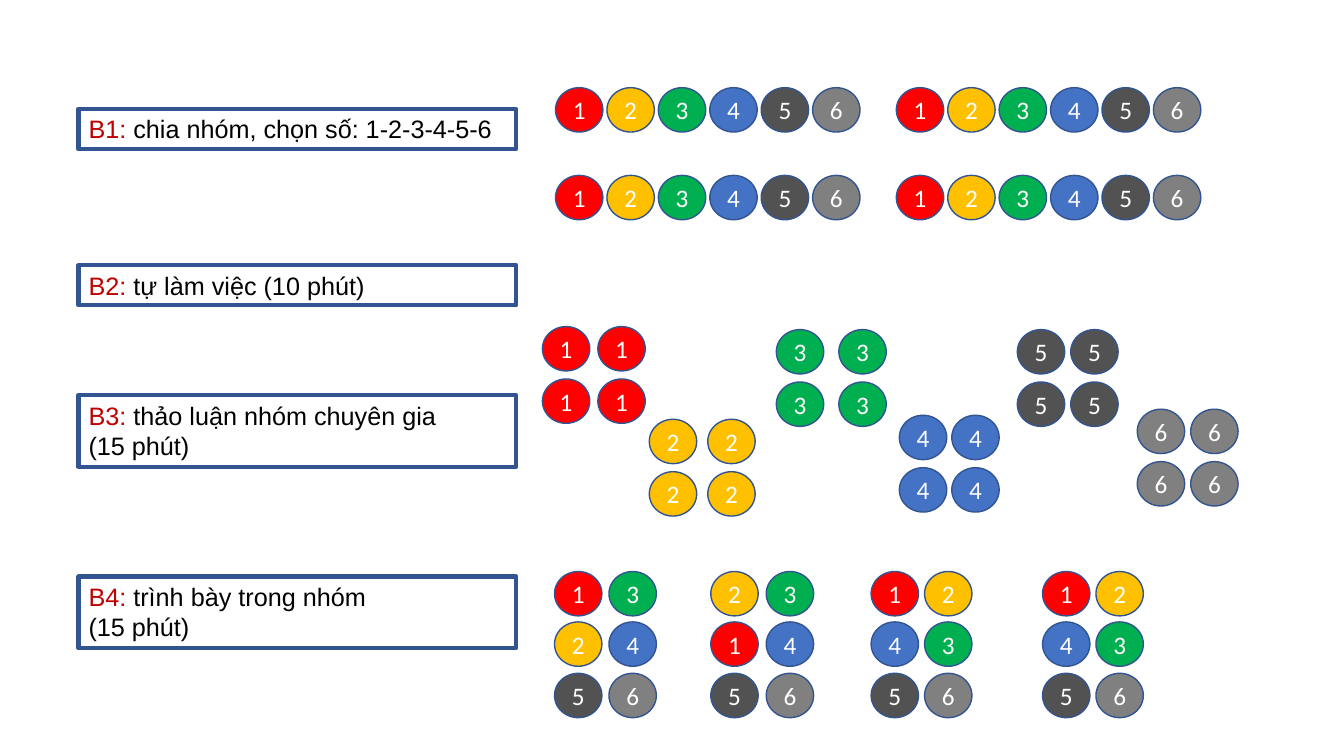
from pptx import Presentation
from pptx.dml.color import RGBColor
from pptx.enum.shapes import MSO_SHAPE
from pptx.enum.text import MSO_ANCHOR, MSO_AUTO_SIZE, PP_ALIGN
from pptx.util import Pt

OVAL = MSO_SHAPE.OVAL
MIDDLE = MSO_ANCHOR.MIDDLE
CENTER = PP_ALIGN.CENTER
GROW = MSO_AUTO_SIZE.SHAPE_TO_FIT_TEXT

PX = 9144  # EMU; 100 px to the inch
BALL_W, BALL_H = 47, 44
COLORS = {
    "line": "325491", "step": "C00000", "text": "000000", "white": "FFFFFF",
    1: "FF0000", 2: "FFC000", 3: "00B050", 4: "4472C4", 5: "525252", 6: "808080",
}

# top, height, label, lines
STEPS = [
    (108, 40, "B1:", [" chia nhóm, chọn số: 1-2-3-4-5-6"]),
    (263, 40, "B2: ", ["tự làm việc (10 phút)"]),
    (392, 71, "B3: ", ["thảo luận nhóm chuyên gia", "(15 phút)"]),
    (572, 71, "B4: ", ["trình bày trong nhóm", "(15 phút)"]),
]
# number, left, top, column pitch
EXPERT_GROUPS = [
    (1, 538, 324, 55), (2, 644, 416, 58), (3, 770, 327, 62),
    (4, 892, 412, 52), (5, 1009, 327, 53), (6, 1128, 406, 53),
]
# left, column pitch, rows of numbers
HOME_GROUPS = [
    (550, 54, [(1, 3), (2, 4), (5, 6)]),
    (705, 55, [(2, 3), (1, 4), (5, 6)]),
    (864, 53, [(1, 2), (4, 3), (5, 6)]),
    (1034, 53, [(1, 2), (4, 3), (5, 6)]),
]


def rgb(name):
    return RGBColor.from_string(COLORS[name])


def style_run(r, font, color):
    r.font.size = Pt(18)
    r.font.name = font
    r.font.color.rgb = rgb(color)


def add_step(slide, left, top, width, height, label, lines):
    sp = slide.shapes.add_textbox(left * PX, top * PX, width * PX, height * PX)
    sp.line.color.rgb = rgb("line")
    sp.line.width = Pt(3)
    tf = sp.text_frame
    tf.word_wrap = True
    tf.auto_size = GROW
    p = tf.paragraphs[0]
    r = p.add_run()
    r.text = label
    style_run(r, "Arial", "step")
    for i, line in enumerate(lines):
        if i:
            p = tf.add_paragraph()
        r = p.add_run()
        r.text = line
        style_run(r, "Arial", "text")


def add_ball(slide, left, top, number):
    sp = slide.shapes.add_shape(OVAL, left * PX, top * PX, BALL_W * PX, BALL_H * PX)
    sp.shadow.inherit = False
    sp.fill.solid()
    sp.fill.fore_color.rgb = rgb(number)
    sp.line.color.rgb = rgb("line")
    sp.line.width = Pt(1)
    tf = sp.text_frame
    tf.text = str(number)
    tf.vertical_anchor = MIDDLE
    p = tf.paragraphs[0]
    p.alignment = CENTER
    style_run(p.runs[0], "Calibri", "white")


def add_balls(slide, left, top, pitch, row_tops, rows):
    """Place rows of numbered balls; row_tops are measured from top."""
    for row_top, row in zip(row_tops, rows):
        for col, number in enumerate(row):
            add_ball(slide, left + col * pitch, top + row_top, number)


def main():
    prs = Presentation()
    prs.slide_width = 1333 * PX
    prs.slide_height = 750 * PX
    slide = prs.slides.add_slide(prs.slide_layouts[6])
    for top, height, label, lines in STEPS:
        add_step(slide, 78, top, 434, height, label, lines)
    for left in (551, 889):
        add_balls(slide, left, 87, 51, (0, 87), [range(1, 7)] * 2)
    for number, left, top, pitch in EXPERT_GROUPS:
        add_balls(slide, left, top, pitch, (0, 52), [(number, number)] * 2)
    for left, pitch, rows in HOME_GROUPS:
        add_balls(slide, left, 567, pitch, (0, 50, 101), rows)
    prs.save("out.pptx")


if __name__ == "__main__":
    main()
